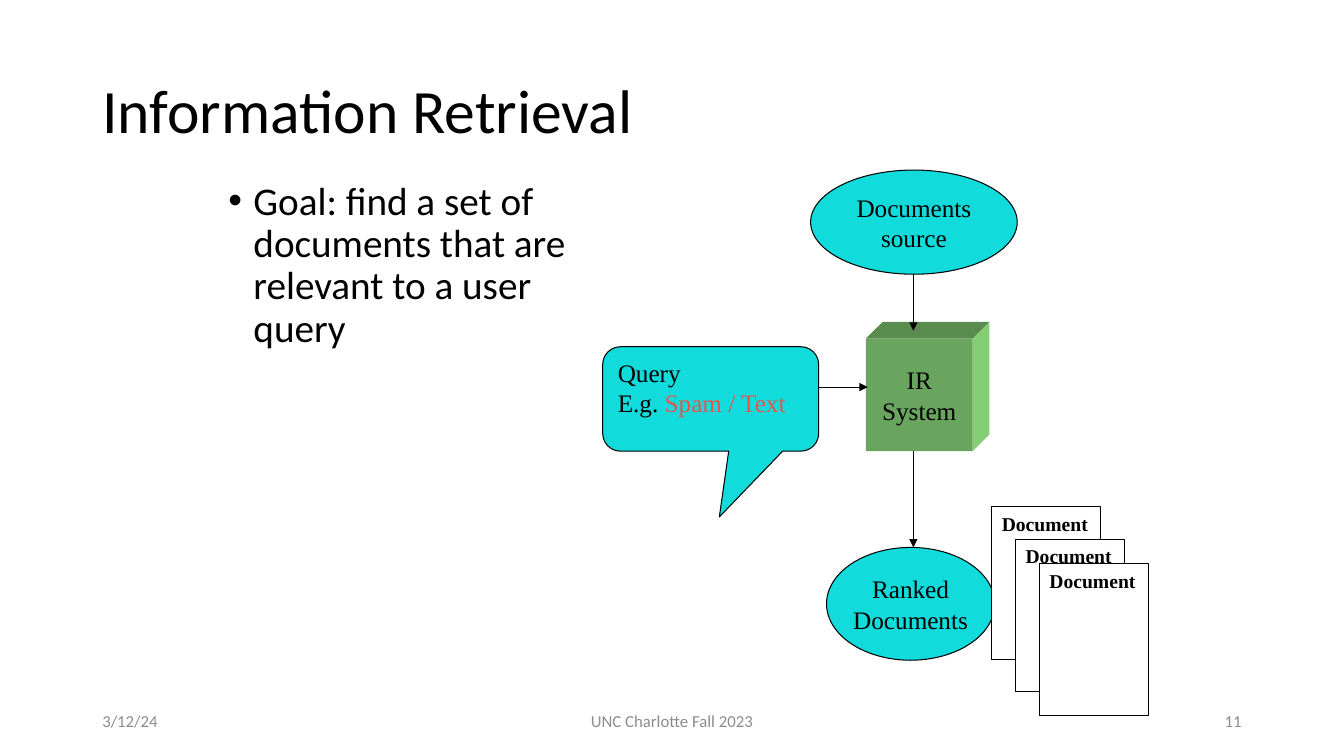
from lxml.etree import SubElement
from pptx import Presentation
from pptx.dml.color import RGBColor
from pptx.enum.shapes import MSO_CONNECTOR, MSO_SHAPE
from pptx.enum.text import MSO_ANCHOR, PP_ALIGN
from pptx.oxml.ns import qn
from pptx.util import Pt

BLACK = RGBColor(0x00, 0x00, 0x00)
WHITE = RGBColor(0xFF, 0xFF, 0xFF)
GRAY = RGBColor(0x8C, 0x8C, 0x8C)
CYAN = RGBColor(0x11, 0xDB, 0xDB)
RED = RGBColor(0xE9, 0x54, 0x4F)
GREEN_FRONT = RGBColor(0x6A, 0xA5, 0x5F)
GREEN_TOP = RGBColor(0x5A, 0x8C, 0x50)
GREEN_SIDE = RGBColor(0x84, 0xCF, 0x76)


def write(shape, text, font_name, size, color=BLACK, alignment=PP_ALIGN.LEFT,
          anchor=MSO_ANCHOR.TOP, wrap=True, bold=False):
    frame = shape.text_frame
    frame.text = text
    frame.word_wrap = wrap
    frame.vertical_anchor = anchor
    for paragraph in frame.paragraphs:
        paragraph.alignment = alignment
        for run in paragraph.runs:
            run.font.name = font_name
            run.font.size = Pt(size)
            run.font.color.rgb = color
            run.font.bold = bold


def paint(shape, fill, outlined=True):
    shape.shadow.inherit = False
    shape.fill.solid()
    shape.fill.fore_color.rgb = fill
    if outlined:
        shape.line.color.rgb = BLACK
        shape.line.width = Pt(0.75)
    else:
        shape.line.fill.background()


presentation = Presentation()
presentation.slide_width = Pt(960)
presentation.slide_height = Pt(540)
slide = presentation.slides.add_slide(presentation.slide_layouts[5])
shapes = slide.shapes

title = shapes.title
title.left, title.top, title.width, title.height = Pt(66), Pt(28.8), Pt(828), Pt(104.4)
write(title, "Information Retrieval", "Calibri", 44, anchor=MSO_ANCHOR.MIDDLE)
title.text_frame.paragraphs[0].line_spacing = 0.9

goal = shapes.add_textbox(Pt(156), Pt(126), Pt(258), Pt(356.4))
write(goal, "Goal: find a set of documents that are relevant to a user query", "Calibri", 28)
goal_paragraph = goal.text_frame.paragraphs[0]
goal_paragraph.line_spacing = 0.9
properties = goal_paragraph._p.get_or_add_pPr()
properties.set("marL", str(Pt(18)))
properties.set("indent", str(Pt(-18)))
SubElement(properties, qn("a:buFont"), typeface="Arial")
SubElement(properties, qn("a:buChar"), char="•")

for text, left, width, alignment in (
    ("3/12/24", 66, 216, PP_ALIGN.LEFT),
    ("UNC Charlotte Fall 2023", 318, 324, PP_ALIGN.CENTER),
    ("11", 678, 216, PP_ALIGN.RIGHT),
):
    footer = shapes.add_textbox(Pt(left), Pt(500.4), Pt(width), Pt(28.8))
    write(footer, text, "Calibri", 12, GRAY, alignment, MSO_ANCHOR.MIDDLE)

left, top, right, bottom, depth = 618.5, 241.9, 694.8, 322.3, 12
for color, corners in (
    (GREEN_TOP, [(left, top), (left + depth, top - depth),
                 (right + depth, top - depth), (right, top)]),
    (GREEN_SIDE, [(right, top), (right + depth, top - depth),
                  (right + depth, bottom - depth), (right, bottom)]),
):
    points = [(Pt(x), Pt(y)) for x, y in corners]
    builder = shapes.build_freeform(*points[0])
    builder.add_line_segments(points[1:], close=True)
    paint(builder.convert_to_shape(), color, outlined=False)

system = shapes.add_shape(MSO_SHAPE.RECTANGLE, Pt(left), Pt(top), Pt(right - left), Pt(bottom - top))
paint(system, GREEN_FRONT, outlined=False)
write(system, "IR\nSystem", "Times New Roman", 18, alignment=PP_ALIGN.CENTER,
      anchor=MSO_ANCHOR.MIDDLE, wrap=False)

query = shapes.add_shape(MSO_SHAPE.ROUNDED_RECTANGULAR_CALLOUT,
                         Pt(430.5), Pt(247.7), Pt(154.3), Pt(74.6))
for index, value in enumerate((0.04, 1.13, 0.17)):
    query.adjustments[index] = value
paint(query, CYAN)
write(query, "Query\nE.g. ", "Times New Roman", 18)
example = query.text_frame.paragraphs[1].add_run()
example.text = "Spam / Text"
example.font.name = "Times New Roman"
example.font.size = Pt(18)
example.font.color.rgb = RED

for text, left, top, width, height in (
    ("Documents\nsource", 579, 121.5, 147.6, 74.4),
    ("Ranked\nDocuments", 590.4, 391, 120.2, 80.6),
):
    ellipse = shapes.add_shape(MSO_SHAPE.OVAL, Pt(left), Pt(top), Pt(width), Pt(height))
    paint(ellipse, CYAN)
    write(ellipse, text, "Times New Roman", 18, alignment=PP_ALIGN.CENTER,
          anchor=MSO_ANCHOR.MIDDLE, wrap=False)

for start_x, start_y, end_x, end_y in (
    (584.8, 276.5, 619.8, 276.5),
    (652.4, 195.9, 652.4, 236.2),
    (652.4, 322.3, 652.4, 391),
):
    arrow = shapes.add_connector(MSO_CONNECTOR.STRAIGHT, Pt(start_x), Pt(start_y), Pt(end_x), Pt(end_y))
    arrow.line.color.rgb = BLACK
    arrow.line.width = Pt(0.75)
    SubElement(arrow.line._get_or_add_ln(), qn("a:tailEnd"), type="triangle")
    SubElement(arrow._element.spPr, qn("a:effectLst"))

for left, top in ((708.5, 362), (725.5, 385.2), (742.5, 402.5)):
    page = shapes.add_shape(MSO_SHAPE.RECTANGLE, Pt(left), Pt(top), Pt(77.8), Pt(108.8))
    paint(page, WHITE)
    label = shapes.add_textbox(Pt(left), Pt(top), Pt(84.2), Pt(24))
    write(label, "Document", "Times New Roman", 14, bold=True)

presentation.save("out.pptx")
